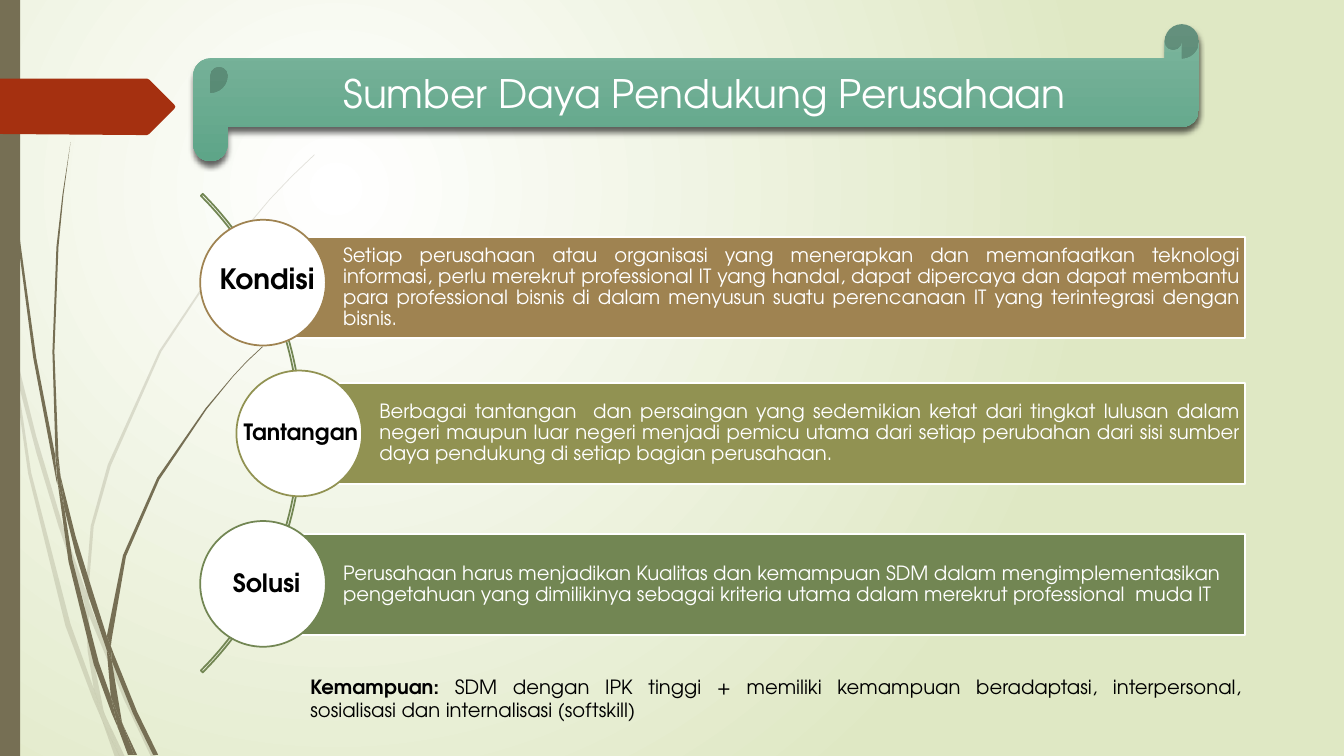
from dataclasses import dataclass

from lxml import etree
from pptx import Presentation
from pptx.dml.color import RGBColor
from pptx.enum.shapes import MSO_SHAPE
from pptx.enum.text import MSO_ANCHOR, PP_ALIGN
from pptx.oxml.ns import qn
from pptx.util import Pt

RECTANGLE = MSO_SHAPE.RECTANGLE
OVAL = MSO_SHAPE.OVAL
BLOCK_ARC = MSO_SHAPE.BLOCK_ARC
SCROLL = MSO_SHAPE.HORIZONTAL_SCROLL
MIDDLE = MSO_ANCHOR.MIDDLE
TOP = MSO_ANCHOR.TOP
CENTER = PP_ALIGN.CENTER
JUSTIFY = PP_ALIGN.JUSTIFY
LEFT = PP_ALIGN.LEFT


@dataclass(frozen=True)
class Theme:
    """Colours, font and type sizes of the slide."""

    font: str = "TeX Gyre Adventor"
    white: str = "FFFFFF"
    black: str = "000000"
    backdrop: str = "DFE8C4"
    stem: str = "766F54"
    marker: str = "A53010"
    brown: str = "9F8351"
    olive: str = "919252"
    green: str = "728653"
    banner_top: str = "7DB59D"
    banner_bottom: str = "5EA588"
    title_size: int = 28
    body_size: int = 14
    outline: float = 1.25


THEME = Theme()
GRID = 0.72

PALE_STEMS = [
    [(11, 350), (9, 322), (0, 282), (0, 299), (10, 344)],
    [(58, 522), (84, 599), (85, 586), (62, 520), (36, 433), (14, 345), (17, 376), (36, 449)],
    [(92, 607), (88, 596), (88, 610), (123, 694), (150, 751), (155, 751), (127, 692)],
    [(119, 751), (124, 751), (105, 711)],
    [(93, 683), (70, 619), (31, 469), (17, 376), (11, 350), (28, 470), (65, 621),
     (92, 693), (101, 714), (99, 707)],
    [(84, 599), (87, 646), (93, 683), (96, 692), (105, 711), (103, 706), (91, 646),
     (88, 610), (88, 608)],
    [(88, 584), (93, 522), (110, 462), (160, 349), (229, 245), (268, 198), (290, 175),
     (312, 154), (312, 153), (289, 175), (268, 197), (228, 244), (158, 348), (107, 461),
     (90, 522), (85, 584), (85, 586), (88, 596)],
    [(101, 714), (114, 751), (119, 751)],
    [(88, 608), (88, 610), (88, 596), (85, 586), (84, 599)],
    [(96, 692), (93, 683), (99, 707), (101, 714), (119, 751), (105, 711)],
]
DARK_STEMS = [
    [(7, 110), (17, 233), (33, 355), (56, 477), (57, 481), (55, 457), (55, 453),
     (36, 355), (19, 232), (8, 109), (5, 48), (4, 0), (3, 0), (4, 48)],
    [(88, 592), (106, 645), (106, 633), (106, 631), (93, 590), (75, 532), (60, 472),
     (64, 505), (75, 549)],
    [(113, 649), (110, 641), (111, 656), (132, 708), (152, 749), (157, 749), (136, 706)],
    [(110, 691), (98, 657), (72, 556), (64, 505), (57, 477), (68, 557), (93, 659),
     (111, 708), (117, 722), (116, 717)],
    [(60, 472), (58, 453), (54, 349), (58, 245), (63, 193), (70, 141), (62, 193),
     (56, 245), (52, 349), (55, 449)],
    [(133, 749), (136, 749), (122, 719)],
    [(57, 477), (64, 505), (60, 472), (55, 449), (55, 453)],
    [(111, 633), (125, 552), (158, 476), (205, 406), (231, 374), (245, 359), (261, 344),
     (260, 344), (245, 358), (231, 373), (204, 405), (156, 474), (122, 551), (106, 631),
     (110, 641)],
    [(117, 722), (127, 749), (131, 749)],
    [(106, 645), (110, 691), (116, 706), (122, 719), (121, 716), (111, 656), (109, 651)],
    [(106, 645), (109, 651), (111, 656), (110, 641), (106, 631), (106, 633)],
    [(116, 706), (110, 691), (116, 717), (117, 722), (130, 749), (133, 749), (122, 719)],
]
MARKER = [(0, 78), (146, 78), (148, 79), (173, 104), (174, 106), (173, 108), (148, 133),
          (146, 134), (136, 134), (0, 133)]

TOPICS = [
    (187.9, 169.4, 157, THEME.brown, JUSTIFY,
     "Setiap perusahaan atau organisasi yang menerapkan dan memanfaatkan teknologi "
     "informasi, perlu merekrut professional IT yang handal, dapat dipercaya dan dapat "
     "membantu para professional bisnis di dalam menyusun suatu perencanaan IT yang "
     "terintegrasi dengan bisnis."),
    (213.8, 273.6, 264.7, THEME.olive, JUSTIFY,
     "Berbagai tantangan  dan persaingan yang sedemikian ketat dari tingkat lulusan "
     "dalam negeri maupun luar negeri menjadi pemicu utama dari setiap perubahan dari "
     "sisi sumber daya pendukung di setiap bagian perusahaan."),
    (187.9, 381.4, 372.2, THEME.green, LEFT,
     "Perusahaan harus menjadikan Kualitas dan kemampuan SDM dalam "
     "mengimplementasikan pengetahuan yang dimilikinya sebagai kriteria utama dalam "
     "merekrut professional  muda IT"),
]
LABELS = [
    ("Tantangan", (164.9, 295.2, 100, 26.6), 16),
    ("Kondisi", (136.8, 183.6, 108, 31.7), 20),
    ("Solusi", (140.4, 401.8, 100, 28.8), 18),
]


def rgb(value):
    """Turn a hex string into a colour."""
    return RGBColor.from_string(value)


def set_gradient(fill, first, last):
    """Give a fill a gradient between two colours."""
    fill.gradient()
    for stop, colour in zip(fill.gradient_stops, (first, last)):
        stop.color.rgb = rgb(colour)


def set_background(slide):
    """Paint the background with a circular gradient."""
    set_gradient(slide.background.fill, THEME.white, THEME.backdrop)
    gradient = slide.element.find(".//" + qn("a:gradFill"))
    gradient.remove(gradient.find(qn("a:lin")))
    path = etree.SubElement(gradient, qn("a:path"), path="circle")
    etree.SubElement(path, qn("a:fillToRect"), l="50000", t="50000", r="100000", b="100000")


def style_shape(shape, fill=None, line=None):
    """Set the fill and outline of a shape and drop its shadow."""
    shape.shadow.inherit = False
    if fill:
        shape.fill.solid()
        shape.fill.fore_color.rgb = rgb(fill)
    else:
        shape.fill.background()
    if line:
        shape.line.color.rgb = rgb(line)
        shape.line.width = Pt(THEME.outline)
    else:
        shape.line.fill.background()


def add_preset(slide, kind, box, fill=None, line=None):
    """Add a styled preset shape."""
    shape = slide.shapes.add_shape(kind, *map(Pt, box))
    style_shape(shape, fill, line)
    return shape


def add_outline(slide, points, fill, opacity=100):
    """Add a filled closed outline given in grid units."""
    start, *others = [(Pt(x * GRID), Pt(y * GRID)) for x, y in points]
    builder = slide.shapes.build_freeform(*start)
    builder.add_line_segments(others, close=True)
    shape = builder.convert_to_shape()
    style_shape(shape, fill)
    if opacity < 100:
        colour = shape.element.spPr.find(qn("a:solidFill")).find(qn("a:srgbClr"))
        etree.SubElement(colour, qn("a:alpha"), val=str(opacity * 1000))


def write_text(shape, pieces, size, colour, align, anchor=TOP):
    """Fill a shape with one paragraph of (text, bold) pieces."""
    frame = shape.text_frame
    frame.word_wrap = True
    frame.vertical_anchor = anchor
    paragraph = frame.paragraphs[0]
    paragraph.alignment = align
    for text, bold in pieces:
        run = paragraph.add_run()
        run.text = text
        run.font.name = THEME.font
        run.font.size = Pt(size)
        run.font.bold = bold
        run.font.color.rgb = rgb(colour)
    return frame


def add_topic(slide, left, top, circle_top, colour, align, text):
    """Add a text bar with its circle at the left end."""
    bar = add_preset(slide, RECTANGLE, (left, top, 889.2 - left, 72), colour, THEME.white)
    frame = write_text(bar, [(text, False)], THEME.body_size, THEME.white, align, MIDDLE)
    frame.margin_left = Pt(57.2)
    frame.margin_right = frame.margin_top = frame.margin_bottom = Pt(2.9)
    frame.paragraphs[0].line_spacing = 0.9
    add_preset(slide, OVAL, (left - 44.9, circle_top, 89.8, 89.8), THEME.white, colour)


def add_banner(slide, text):
    """Add the title scroll with its gradient and soft shadow."""
    banner = add_preset(slide, SCROLL, (138.1, 17.3, 718.3, 97.9))
    banner.adjustments[0] = 0.25
    set_gradient(banner.fill, THEME.banner_top, THEME.banner_bottom)
    banner.fill.gradient_angle = 270
    effects = banner.element.spPr.find(qn("a:effectLst"))
    shadow = etree.SubElement(effects, qn("a:outerShdw"), blurRad=str(Pt(4)),
                              dist=str(Pt(3)), dir="5400000", rotWithShape="0")
    colour = etree.SubElement(shadow, qn("a:srgbClr"), val=THEME.black)
    etree.SubElement(colour, qn("a:alpha"), val="60000")
    write_text(banner, [(text, False)], THEME.title_size, THEME.white, CENTER, MIDDLE)


def add_text(slide, box, pieces, size, align):
    """Add a text box with black text."""
    shape = slide.shapes.add_textbox(*map(Pt, box))
    write_text(shape, pieces, size, THEME.black, align)


def main():
    """Build the slide and save it."""
    presentation = Presentation()
    presentation.slide_width, presentation.slide_height = Pt(960), Pt(540)
    slide = presentation.slides.add_slide(presentation.slide_layouts[6])
    set_background(slide)
    for stems, opacity in ((PALE_STEMS, 20), (DARK_STEMS, 100)):
        for points in stems:
            add_outline(slide, points, THEME.stem, opacity)
    add_preset(slide, RECTANGLE, (0, 0, 14.4, 540), THEME.stem)
    add_outline(slide, MARKER, THEME.marker)
    arc = add_preset(slide, BLOCK_ARC, (-267.8, 67.7, 483.4, 483.4), line=THEME.green)
    for index, value in enumerate((189, 27, 0.004)):
        arc.adjustments[index] = value
    for topic in TOPICS:
        add_topic(slide, *topic)
    add_banner(slide, "Sumber Daya Pendukung Perusahaan")
    for text, box, size in LABELS:
        add_text(slide, box, [(text, True)], size, CENTER)
    add_text(slide, (214.6, 478.4, 679.7, 41), [
        ("Kemampuan: ", True),
        ("SDM dengan IPK tinggi + memiliki kemampuan beradaptasi, interpersonal, "
         "sosialisasi dan internalisasi (softskill)", False),
    ], THEME.body_size, JUSTIFY)
    presentation.save("out.pptx")


if __name__ == "__main__":
    main()
